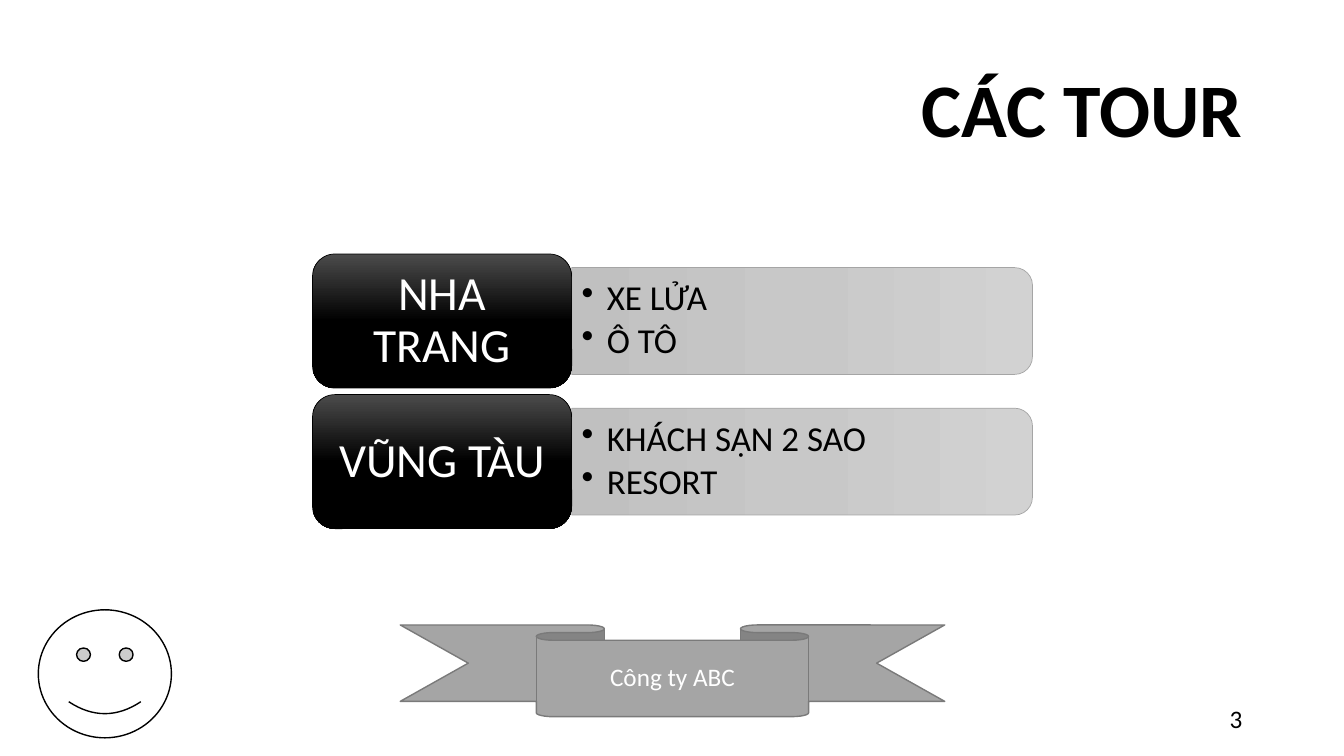
"""Build the tour list slide on a grid of 160 columns by 90 rows."""
from copy import deepcopy
from lxml.etree import SubElement
from pptx import Presentation
from pptx.dml.color import RGBColor
from pptx.enum.shapes import MSO_SHAPE
from pptx.enum.text import MSO_ANCHOR, PP_ALIGN
from pptx.oxml.ns import qn
from pptx.util import Inches, Pt

COLORS = {
    "black": "000000", "white": "FFFFFF", "gray": "A5A5A5", "edge": "7A7A7A",
    "bar": ["D2D2D2", "C8C8C8", "C0C0C0"],
    "label": ["4B4B4B", "000000", "000000"],
}
TOURS = [
    ("NHA TRANG", ["XE LỬA", "Ô TÔ"]),
    ("VŨNG TÀU", ["KHÁCH SẠN 2 SAO", "RESORT"]),
]

deck = Presentation()
deck.slide_width, deck.slide_height = Inches(13.33), Inches(7.5)
cell = deck.slide_height / 90
slide = deck.slides.add_slide(deck.slide_layouts[5])
shapes = slide.shapes


def draw(kind, box, fill, line, width):
    """Add a preset shape; a list of three colours makes a gradient."""
    shape = shapes.add_shape(kind, *[round(n * cell) for n in box])
    shape.shadow.inherit = False
    if isinstance(fill, list):
        shape.fill.gradient()
        shape.fill.gradient_angle = 270
        stops = shape._element.spPr.find(".//" + qn("a:gsLst"))
        stops.append(deepcopy(stops[0]))
        for i, stop in enumerate(shape.fill.gradient_stops):
            stop.position = i / 2
            stop.color.rgb = RGBColor.from_string(fill[i])
    else:
        shape.fill.solid()
        shape.fill.fore_color.rgb = RGBColor.from_string(fill)
    shape.line.color.rgb = RGBColor.from_string(line)
    shape.line.width = Pt(width)
    return shape


def write(shape, lines, size, color, align, bold=False):
    """Fill a shape with one paragraph per line."""
    frame = shape.text_frame
    frame.word_wrap = True
    frame.vertical_anchor = MSO_ANCHOR.MIDDLE
    for i, line in enumerate(lines):
        para = frame.add_paragraph() if i else frame.paragraphs[0]
        para.alignment = align
        para.line_spacing = 0.9
        run = para.add_run()
        run.text = line
        run.font.name, run.font.size, run.font.bold = "Calibri", Pt(size), bold
        run.font.color.rgb = RGBColor.from_string(color)
    return frame


title = shapes.title
title.left, title.top, title.width, title.height = [
    round(n * cell) for n in (46.44, 4.8, 102.6, 17.4)]
write(title, ["CÁC TOUR"], 54, COLORS["black"], PP_ALIGN.RIGHT, True)

ribbon = draw(MSO_SHAPE.DOWN_RIBBON, (47.64, 74.4, 64.8, 10.92),
              COLORS["gray"], COLORS["edge"], 1)
write(ribbon, ["Công ty ABC"], 18, COLORS["white"], PP_ALIGN.CENTER)
draw(MSO_SHAPE.SMILEY_FACE, (4.56, 72.6, 15.84, 15.24),
     COLORS["white"], COLORS["black"], 1)

left, top, wide, high, pitch = 37.2, 30.24, 30.84, 15.96, 16.74
long, thick = 54.84, 12.72
start = left + wide
for row, (place, items) in enumerate(TOURS):
    y = top + row * pitch
    mid = y + high / 2
    bar = draw(MSO_SHAPE.ROUND_2_SAME_RECTANGLE,
               (start + (long - thick) / 2, mid - long / 2, thick, long),
               COLORS["bar"], COLORS["gray"], 0.5)
    bar.rotation = 90

    area = (start, mid - 5.76, 54.24, 11.52)
    note = shapes.add_textbox(*[round(n * cell) for n in area])
    frame = write(note, items, 25, COLORS["black"], PP_ALIGN.LEFT)
    for para in frame.paragraphs:
        para.space_after = Pt(3.75)
        props = para._p.get_or_add_pPr()
        props.set("marL", str(Inches(0.25)))
        props.set("indent", str(-Inches(0.25)))
        SubElement(props, qn("a:buChar")).set("char", "•")

    label = draw(MSO_SHAPE.ROUNDED_RECTANGLE, (left, y, wide, high),
                 COLORS["label"], COLORS["black"], 0.5)
    frame = write(label, [place], 34, COLORS["white"], PP_ALIGN.CENTER)
    frame.margin_left = frame.margin_right = Inches(0.14)
    frame.margin_top = frame.margin_bottom = Inches(0.07)

page = shapes.add_textbox(*[round(n * cell) for n in (113.04, 83.4, 36, 4.8)])
write(page, ["3"], 18, COLORS["black"], PP_ALIGN.RIGHT)

deck.save("out.pptx")
